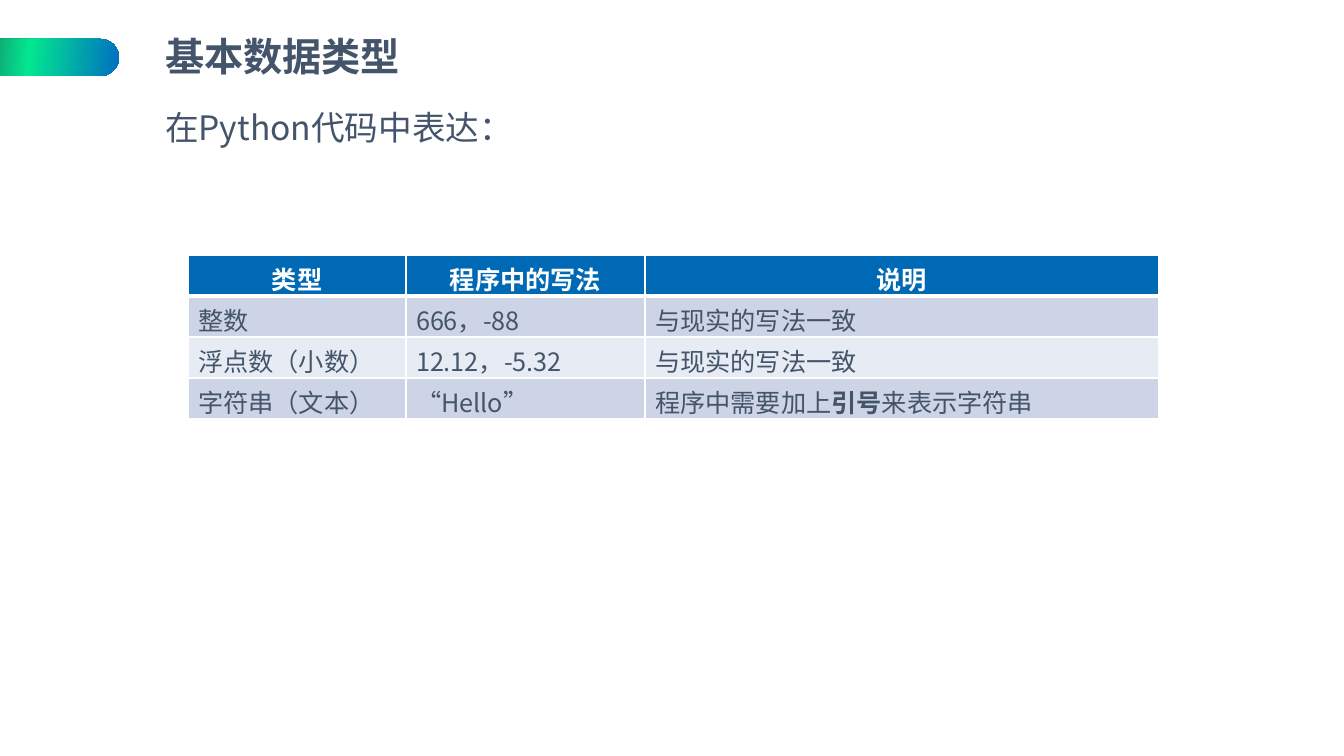
import dataclasses

import lxml.etree
import pptx
import pptx.dml.color
import pptx.enum.lang
import pptx.enum.shapes
import pptx.enum.text
import pptx.oxml.ns
import pptx.util

TITLE = "基本数据类型"
LEAD = "在Python代码中表达："
HEAD = ["类型", "程序中的写法", "说明"]
ROWS = [
    [["整数"], ["666，-88"], ["与现实的写法一致"]],
    [["浮点数（小数）"], ["12.12，-5.32"], ["与现实的写法一致"]],
    [["字符串（文本）"], ["“Hello”"], ["程序中需要加上", "引号", "来表示字符串"]],
]
STRONG = {"引号"}

SLIDE = (1344, 756)
BAR = (-69, 39, 188, 37)
TITLE_BOX = (155, 33, 924, 52)
LEAD_BOX = (155, 102, 1172, 50)
GRID_AT = (188, 255)
COLS = [218, 239, 514]
ROW = 41


@dataclasses.dataclass(frozen=True)
class Theme:
    font: str = "Noto Sans CJK SC"
    latin: str = "Arial"
    ink: str = "44546A"
    white: str = "FFFFFF"
    head: str = "0069B5"
    bands: tuple = ("CCD4E5", "E7EBF3")
    fade: tuple = ((0, "272D3D"), (52, "03E790"), (100, "0070C0"))
    tilt: int = 5
    title: int = 28
    lead: int = 24
    cell: int = 18
    rule: int = 1
    thick: int = 3


THEME = Theme()


def px(n):
    return round(n * 914400 / 100.8)


def rgb(code):
    return pptx.dml.color.RGBColor.from_string(code)


def add(parent, tag, **attrs):
    return lxml.etree.SubElement(parent, pptx.oxml.ns.qn(tag), **attrs)


def place(shape, box):
    shape.left, shape.top, shape.width, shape.height = map(px, box)


def write(para, text, size, color, bold=False, face=THEME.font):
    run = para.add_run()
    run.text = text
    font = run.font
    font.size = pptx.util.Pt(size)
    font.bold = bold
    font.color.rgb = rgb(color)
    font.name = face
    font.language_id = pptx.enum.lang.MSO_LANGUAGE_ID.SIMPLIFIED_CHINESE
    add(font._element, "a:ea", typeface=THEME.font)


def fill_box(shape, box, text, size, anchor, bold=False):
    place(shape, box)
    frame = shape.text_frame
    frame.word_wrap = True
    frame.auto_size = pptx.enum.text.MSO_AUTO_SIZE.SHAPE_TO_FIT_TEXT
    frame.vertical_anchor = anchor
    para = frame.paragraphs[0]
    props = para._p.get_or_add_pPr()
    props.set("marL", "0")
    props.set("indent", "0")
    add(props, "a:buNone")
    para.alignment = pptx.enum.text.PP_ALIGN.LEFT
    para.space_before = pptx.util.Pt(0)
    write(para, text, size, THEME.ink, bold)
    return para


def draw_bar(slide):
    kind = pptx.enum.shapes.MSO_SHAPE.ROUNDED_RECTANGLE
    bar = slide.shapes.add_shape(kind, *map(px, BAR))
    bar.adjustments[0] = 0.5
    bar.shadow.inherit = False
    bar.line.fill.background()
    bar.fill.gradient()
    bar.fill.gradient_angle = 360 - THEME.tilt
    stops = bar.fill.gradient_stops._gsLst
    for old in list(stops):
        stops.remove(old)
    for pos, color in THEME.fade:
        stop = add(stops, "a:gs", pos=str(pos * 1000))
        add(stop, "a:srgbClr", val=color)


def edge(cell, head):
    props = cell._tc.get_or_add_tcPr()
    for side in ("L", "R", "T", "B"):
        width = THEME.thick if head and side == "B" else THEME.rule
        line = add(props, "a:ln" + side, w=str(pptx.util.Pt(width)))
        add(add(line, "a:solidFill"), "a:srgbClr", val=THEME.white)


def draw_grid(slide):
    lines = [[[text] for text in HEAD]] + ROWS
    box = (*GRID_AT, sum(COLS), ROW * len(lines))
    grid = slide.shapes.add_table(len(lines), len(COLS), *map(px, box)).table
    for col, width in zip(grid.columns, COLS):
        col.width = px(width)
    for r, line in enumerate(lines):
        grid.rows[r].height = px(ROW)
        head = r == 0
        back = THEME.head if head else THEME.bands[(r - 1) % 2]
        for c, parts in enumerate(line):
            cell = grid.cell(r, c)
            edge(cell, head)
            cell.fill.solid()
            cell.fill.fore_color.rgb = rgb(back)
            para = cell.text_frame.paragraphs[0]
            if head:
                para.alignment = pptx.enum.text.PP_ALIGN.CENTER
            for text in parts:
                write(para, text, THEME.cell,
                      THEME.white if head else THEME.ink,
                      head or text in STRONG,
                      THEME.latin if head else THEME.font)


def main():
    deck = pptx.Presentation()
    deck.slide_width, deck.slide_height = map(px, SLIDE)
    slide = deck.slides.add_slide(deck.slide_layouts[1])
    anchor = pptx.enum.text.MSO_ANCHOR
    draw_bar(slide)
    title = fill_box(slide.shapes.title, TITLE_BOX, TITLE, THEME.title,
                     anchor.MIDDLE, True)
    title.line_spacing = 0.9
    fill_box(slide.placeholders[1], LEAD_BOX, LEAD, THEME.lead, anchor.TOP)
    draw_grid(slide)
    deck.save("out.pptx")


if __name__ == "__main__":
    main()
